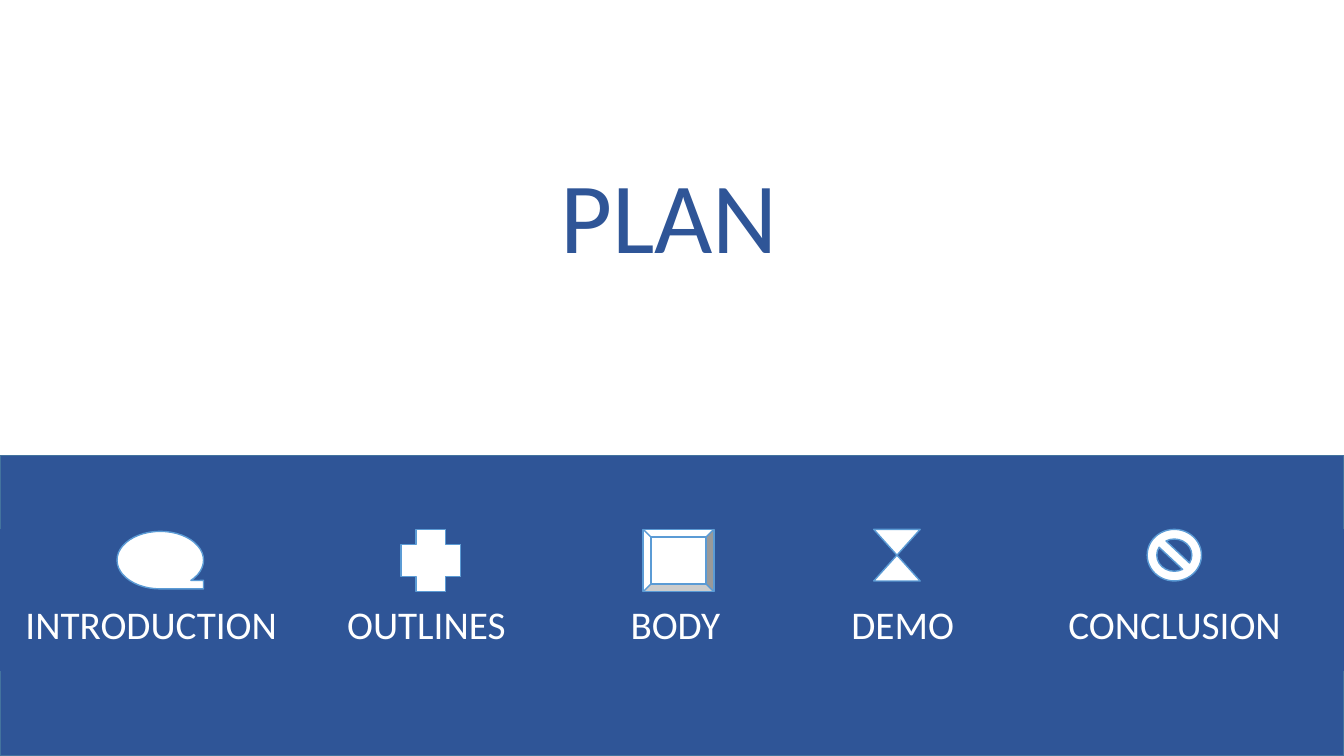
from pptx import Presentation
from pptx.dml.color import RGBColor
from pptx.enum.shapes import MSO_SHAPE
from pptx.enum.text import MSO_ANCHOR, PP_ALIGN
from pptx.util import Cm, Pt

COLORS = {"band": "2F5597", "edge": "43739E", "icon_line": "5B9BD5", "white": "FFFFFF"}
BAND_TOP, ROW_TOP, ROW_HEIGHT = 11.48, 13.34, 3.56
STEPS = [
    ("INTRODUCTION", 7.62, MSO_SHAPE.FLOWCHART_SEQUENTIAL_ACCESS_STORAGE, (2.95, 13.39, 2.18, 1.45)),
    ("OUTLINES", 6.25, MSO_SHAPE.CROSS, (10.11, ROW_TOP, 1.5, 1.57)),
    ("BODY", 6.3, MSO_SHAPE.BEVEL, (16.21, ROW_TOP, 1.78, 1.57)),
    ("DEMO", 5.16, MSO_SHAPE.FLOWCHART_COLLATE, (22.02, ROW_TOP, 1.17, 1.3)),
    ("CONCLUSION", 8.54, MSO_SHAPE.NO_SYMBOL, (28.91, ROW_TOP, 1.37, 1.3)),
]


def rgb(name):
    """Return the named colour."""
    return RGBColor.from_string(COLORS[name])


def add_preset(s, kind, box, fill, line):
    """Add a filled and outlined preset shape, with its box in centimetres."""
    sp = s.shapes.add_shape(kind, *map(Cm, box))
    sp.shadow.inherit = False
    sp.fill.solid()
    sp.fill.fore_color.rgb = rgb(fill)
    sp.line.color.rgb = rgb(line)
    sp.line.width = Pt(1)
    return sp


def set_text(tf, text, size, color, align):
    """Write one formatted paragraph."""
    tf.text = text
    p = tf.paragraphs[0]
    p.alignment = align
    font = p.runs[0].font
    font.name, font.size = "Calibri", Pt(size)
    font.color.rgb = rgb(color)


def add_step(s, label, left, width):
    """Add a step block whose label sits below the room for its icon."""
    box = (left, ROW_TOP, width, ROW_HEIGHT)
    tf = add_preset(s, MSO_SHAPE.RECTANGLE, box, "band", "band").text_frame
    tf.word_wrap = True
    tf.vertical_anchor = MSO_ANCHOR.MIDDLE
    tf.margin_top = Cm(1.33)
    set_text(tf, label, 28, "white", PP_ALIGN.CENTER)


def add_title(s, text):
    """Add the large slide title."""
    tf = s.shapes.add_textbox(Cm(13.87), Cm(3.73), Cm(10.87), Cm(3.33)).text_frame
    tf.word_wrap = True
    set_text(tf, text, 72, "band", PP_ALIGN.LEFT)


def main():
    """Build the plan slide."""
    prs = Presentation()
    prs.slide_width, prs.slide_height = Cm(33.87), Cm(19.05)
    s = prs.slides.add_slide(prs.slide_layouts[6])
    add_preset(s, MSO_SHAPE.RECTANGLE, (0, BAND_TOP, 33.87, 19.05 - BAND_TOP), "band", "edge")
    left = 0
    for label, width, _, _ in STEPS:
        add_step(s, label, left, width)
        left += width
    for _, _, kind, box in STEPS:
        add_preset(s, kind, box, "white", "icon_line")
    add_title(s, "PLAN")
    prs.save("out.pptx")


main()
